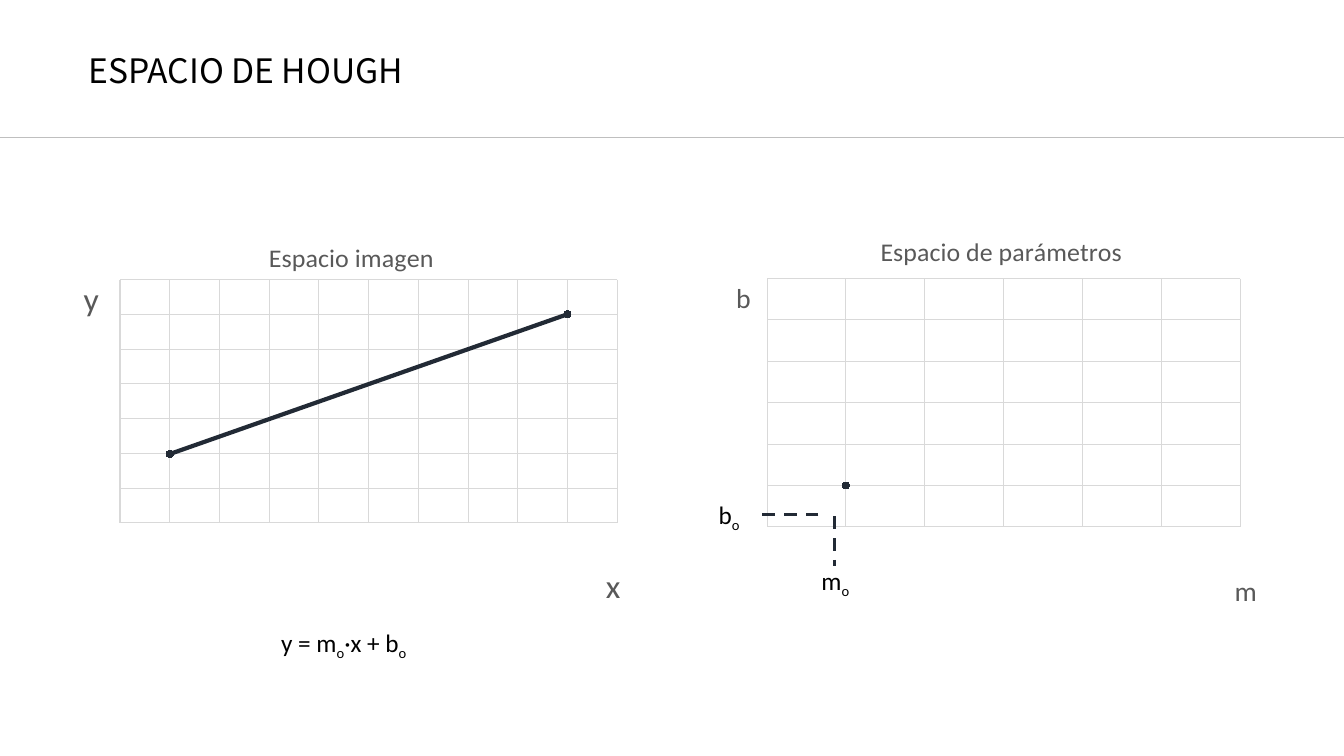
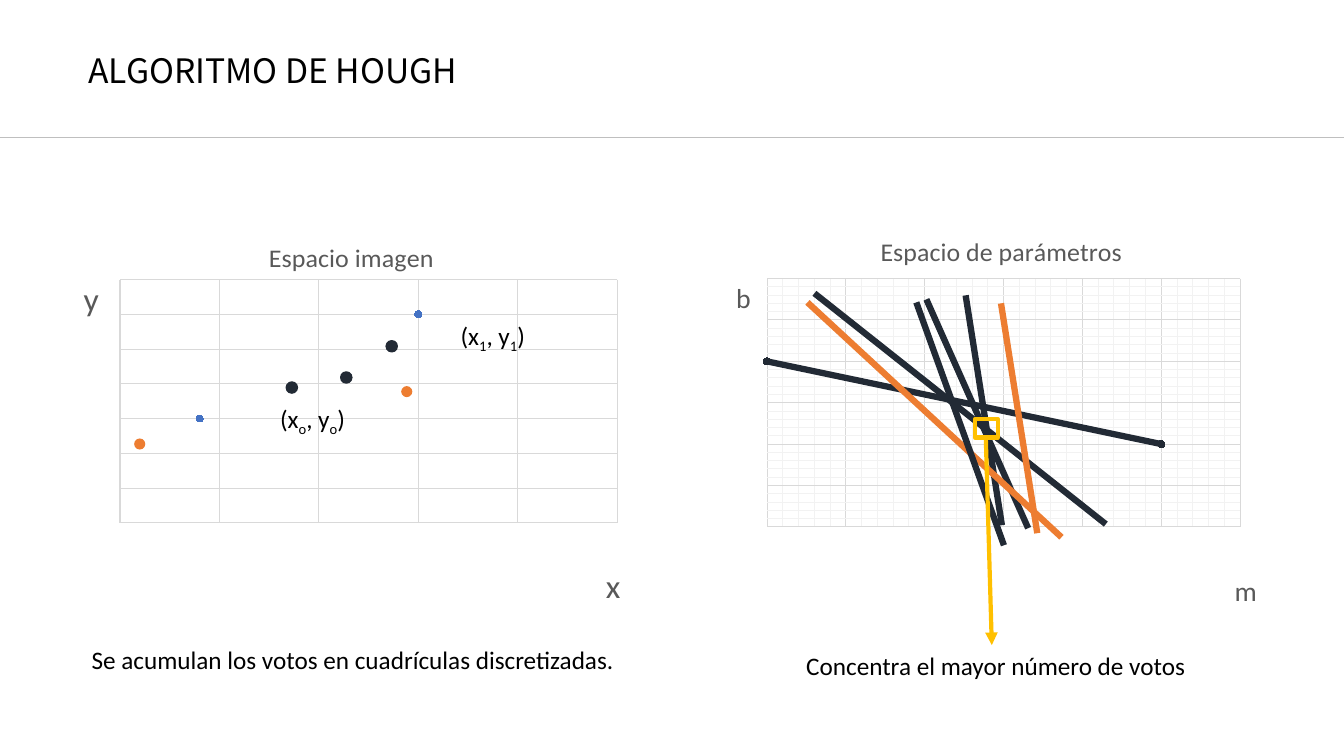
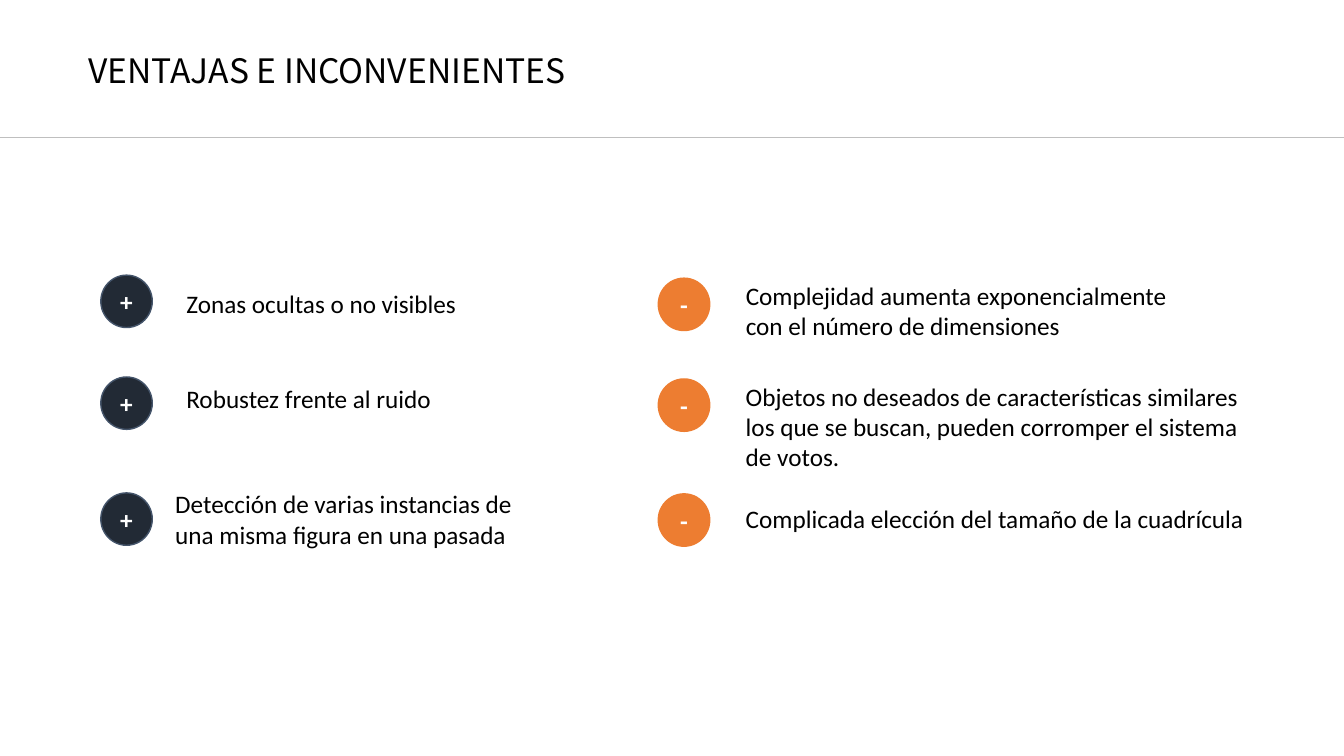
from copy import deepcopy

from lxml.etree import SubElement
from pptx import Presentation
from pptx.chart.data import XyChartData
from pptx.dml.color import RGBColor
from pptx.enum.chart import XL_CHART_TYPE, XL_MARKER_STYLE
from pptx.enum.dml import MSO_LINE
from pptx.enum.shapes import MSO_CONNECTOR, MSO_SHAPE
from pptx.enum.text import MSO_ANCHOR, PP_ALIGN
from pptx.oxml.ns import qn
from pptx.util import Emu, Inches, Pt

WIDTH, HEIGHT = Inches(13.333), Inches(7.5)
BODY_FONT, TITLE_FONT = "Calibri", "Noto Sans CJK SC"
BLACK = RGBColor(0x00, 0x00, 0x00)
WHITE = RGBColor(0xFF, 0xFF, 0xFF)
NAVY = RGBColor(0x22, 0x2A, 0x35)
SLATE = RGBColor(0x44, 0x54, 0x6A)
BLUE = RGBColor(0x44, 0x72, 0xC4)
ORANGE = RGBColor(0xED, 0x7D, 0x31)
GOLD = RGBColor(0xFF, 0xC0, 0x00)
LABEL_GREY = RGBColor(0x59, 0x59, 0x59)
RULE_GREY = RGBColor(0xBF, 0xBF, 0xBF)
GRID_GREY = RGBColor(0xD9, 0xD9, 0xD9)
MINOR_GREY = RGBColor(0xF2, 0xF2, 0xF2)

# All places are percentages of the slide: left, top, width, height
LINE_H = 5.33
IMAGE_SPACE = dict(
    frame=(4.73, 28.8, 42.08, 52.93), plot=(8.93, 37.2, 37, 33.07),
    title=("Espacio imagen", 19.65, 31.2), label_size=24,
    x_label=("x", 44.63, 75.07), y_label=("y", 5.78, 36))
PARAMETER_SPACE = dict(
    frame=(53.18, 28.8, 40.73, 52.8), plot=(57.1, 37.05, 35.43, 33.6),
    title=("Espacio de parámetros", 65.25, 30.4), label_size=20,
    x_label=("m", 91.73, 76), y_label=("b", 54.4, 36.4))
IMAGE_ROWS = (0, 700 / 6, 100 / 6)


def across(share):
    return Emu(round(WIDTH * share / 100))


def down(share):
    return Emu(round(HEIGHT * share / 100))


def place(box):
    left, top, width, height = box
    return across(left), down(top), across(width), down(height)


def style_font(font, size, color, name=BODY_FONT, bold=False):
    font.size, font.name, font.bold = Pt(size), name, bold
    font.color.rgb = color


def write(frame, text, size=18, color=BLACK, name=BODY_FONT, bold=False,
          align=PP_ALIGN.LEFT, anchor=MSO_ANCHOR.TOP, wrap=True, spacing=None):
    """Write text; a character after an underscore becomes a subscript."""
    frame.word_wrap, frame.vertical_anchor = wrap, anchor
    for number, line in enumerate(text.split("\n")):
        paragraph = frame.add_paragraph() if number else frame.paragraphs[0]
        paragraph.alignment, paragraph.line_spacing = align, spacing
        first, *others = line.split("_")
        pieces = [(first, False)]
        for part in others:
            pieces += [(part[0], True), (part[1:], False)]
        for piece, lowered in pieces:
            if piece:
                run = paragraph.add_run()
                run.text = piece
                style_font(run.font, size, color, name, bold)
                if lowered:
                    run._r.get_or_add_rPr().set("baseline", "-25000")


def add_text(slide, text, box, **text_format):
    write(slide.shapes.add_textbox(*place(box)).text_frame, text, **text_format)


def add_line(slide, start_x, start_y, end_x, end_y, color, width,
             dash=None, arrow=False):
    line = slide.shapes.add_connector(
        MSO_CONNECTOR.STRAIGHT, across(start_x), down(start_y),
        across(end_x), down(end_y))
    line.line.color.rgb, line.line.width = color, Pt(width)
    if dash:
        line.line.dash_style = dash
    if arrow:
        SubElement(line.line._get_or_add_ln(), qn("a:tailEnd"), type="triangle")
    SubElement(line._element.spPr, qn("a:effectLst"))


def add_figure(slide, preset, box, fill=None, outline=None, width=1):
    figure = slide.shapes.add_shape(preset, *place(box))
    figure.shadow.inherit = False
    if fill is None:
        figure.fill.background()
    else:
        figure.fill.solid()
        figure.fill.fore_color.rgb = fill
    if outline is None:
        figure.line.fill.background()
    else:
        figure.line.color.rgb, figure.line.width = outline, Pt(width)
    return figure


# Charts
def set_layout(parent, index, frame, left, top, size=None):
    """Fix a chart part at a slide position inside the chart's frame."""
    old = parent.find(qn("c:layout"))
    if old is not None:
        parent.remove(old)
    layout = parent.makeelement(qn("c:layout"))
    parent.insert(index, layout)
    manual = SubElement(layout, qn("c:manualLayout"))
    values = [("xMode", "edge"), ("yMode", "edge"),
              ("x", (left - frame[0]) / frame[2]),
              ("y", (top - frame[1]) / frame[3])]
    if size:
        values = [("layoutTarget", "inner"), *values,
                  ("w", size[0] / frame[2]), ("h", size[1] / frame[3])]
    for tag, value in values:
        SubElement(manual, qn(f"c:{tag}"), val=str(value))


def label_chart(title, label, frame, size):
    text, left, top = label
    write(title.text_frame, text, size=size, color=LABEL_GREY, align=None)
    title.text_frame._txBody.bodyPr.set("rot", "0")
    set_layout(title.element, 1, frame, left, top)


def set_axis(axis, scale, minor_parts):
    axis.minimum_scale, axis.maximum_scale, axis.major_unit = scale
    axis.has_major_gridlines = True
    grid_line = axis.major_gridlines.format.line
    grid_line.width = Pt(0.75)
    if minor_parts:
        axis.has_minor_gridlines = True
        axis.minor_unit = scale[2] / minor_parts
        # The minor grid takes the major grid's line in a paler grey
        grid_line.color.rgb = MINOR_GREY
        major = axis._element.find(qn("c:majorGridlines"))
        minor = axis._element.find(qn("c:minorGridlines"))
        minor.append(deepcopy(major.find(qn("c:spPr"))))
    grid_line.color.rgb = GRID_GREY
    axis.visible = False


def add_space(slide, space, points, columns, rows, color=NAVY, width=None,
              minor_parts=0):
    data = XyChartData()
    votes = data.add_series("Series 1")
    for point in points:
        votes.add_data_point(*point)
    kind = XL_CHART_TYPE.XY_SCATTER_SMOOTH if width else XL_CHART_TYPE.XY_SCATTER
    frame = space["frame"]
    chart = slide.shapes.add_chart(kind, *place(frame), data).chart
    style_font(chart.font, 10, BLACK)
    chart.has_legend = False
    chart.plots[0].vary_by_categories = False

    set_axis(chart.category_axis, columns, minor_parts)
    set_axis(chart.value_axis, rows, minor_parts)
    label_chart(chart.chart_title, space["title"], frame, 18.6)
    label_chart(chart.category_axis.axis_title, space["x_label"], frame,
                space["label_size"])
    label_chart(chart.value_axis.axis_title, space["y_label"], frame,
                space["label_size"])
    left, top, *size = space["plot"]
    set_layout(chart.element.find(f".//{qn('c:plotArea')}"), 0, frame,
               left, top, size)

    series = chart.plots[0].series[0]
    if width:
        series.format.line.color.rgb = color
        series.format.line.width = Pt(width)
    else:
        series.format.line.fill.background()
    series.marker.style, series.marker.size = XL_MARKER_STYLE.CIRCLE, 5
    series.marker.format.fill.solid()
    series.marker.format.fill.fore_color.rgb = color
    series.marker.format.line.color.rgb = color


# Slides
def add_titled_slide(deck, title):
    slide = deck.slides.add_slide(deck.slide_layouts[6])
    add_text(slide, title, (5.85, 0, 86.25, 19.33), size=24, name=TITLE_FONT,
             anchor=MSO_ANCHOR.MIDDLE, spacing=0.9)
    add_line(slide, 0, 18.13, 100, 18.13, RULE_GREY, 0.5)
    return slide


def add_hough_space(deck):
    slide = add_titled_slide(deck, "ESPACIO DE HOUGH")
    add_space(slide, IMAGE_SPACE, [(1, 33), (2.6, 100)],
              (0.8, 2.8, 0.2), IMAGE_ROWS, width=3)
    add_space(slide, PARAMETER_SPACE, [(0.5, 100)],
              (0, 3, 0.5), (0, 600, 100), width=4.5)
    add_text(slide, "y = m_o·x + b_o", (20.18, 82.27, 11.18, LINE_H), wrap=False)
    # Coordinates of the point
    for ends in ((62.1, 68.27, 62.1, 74.93), (60.9, 68, 56.03, 68)):
        add_line(slide, *ends, NAVY, 2.25, dash=MSO_LINE.DASH)
    add_text(slide, "m_o", (60.38, 74.13, 4.88, LINE_H))
    add_text(slide, "b_o", (52.73, 65.33, 4.88, LINE_H))


def add_hough_algorithm(deck):
    slide = add_titled_slide(deck, "ALGORITMO DE HOUGH")
    add_space(slide, IMAGE_SPACE, [(2, 100), (0.9, 50)],
              (0.5, 3, 0.5), IMAGE_ROWS, color=BLUE)
    add_space(slide, PARAMETER_SPACE, [(0, 100), (2.5, 50)],
              (0, 3, 0.5), (0, 150, 25), width=4.5, minor_parts=5)
    add_text(slide, "(x_o, y_o)", (20.1, 52.67, 8.55, LINE_H))
    add_text(slide, "(x_1, y_1)", (33.53, 41.73, 8.55, LINE_H))
    # Image points
    for left, top, color, outline in (
            (25.35, 49.2, NAVY, NAVY), (21.3, 50.53, NAVY, NAVY),
            (28.73, 45.07, NAVY, NAVY), (29.85, 51.07, ORANGE, None),
            (9.98, 58, ORANGE, None)):
        add_figure(slide, MSO_SHAPE.OVAL, (left, top, 0.83, 1.47), color, outline)
    # Lines that vote in the parameter space
    for *ends, color in (
            (60.6, 38.8, 82.28, 69.33, NAVY),
            (68.93, 39.6, 76.5, 69.87, NAVY),
            (74.55, 69.47, 71.85, 39.07, NAVY),
            (77.18, 70.53, 74.48, 40.13, ORANGE),
            (78.98, 71.07, 60.08, 40, ORANGE),
            (74.7, 72.13, 68.18, 40, NAVY)):
        add_line(slide, *ends, color, 4.5)
    # Winning cell and captions
    add_text(slide, "Concentra el mayor número de votos",
             (59.25, 85.33, 35.85, LINE_H))
    add_text(slide, "Se acumulan los votos en cuadrículas discretizadas.",
             (6.08, 84.53, 40.88, LINE_H), wrap=False)
    add_line(slide, 73.35, 57.87, 73.8, 85.33, GOLD, 3, arrow=True)
    add_figure(slide, MSO_SHAPE.RECTANGLE, (72.53, 55.47, 1.73, 2.4),
               outline=GOLD, width=3)


def add_points(slide, sign, left, fill, outline, points):
    for badge_top, text, box, wrap in points:
        badge = add_figure(slide, MSO_SHAPE.OVAL, (left, badge_top, 3.83, 6.93),
                           fill, outline)
        write(badge.text_frame, sign, color=WHITE, bold=True,
              align=PP_ALIGN.CENTER, anchor=MSO_ANCHOR.MIDDLE)
        add_text(slide, text, box, wrap=wrap)


def add_pros_and_cons(deck):
    slide = add_titled_slide(deck, "VENTAJAS E INCONVENIENTES")
    add_points(slide, "+", 7.5, NAVY, SLATE, (
        (36.4, "Zonas ocultas o no visibles",
         (13.13, 37.47, 21.83, LINE_H), False),
        (49.87, "Robustez frente al ruido", (13.13, 50, 19.95, LINE_H), False),
        (65.2, "Detección de varias instancias de una misma figura en una pasada",
         (12.3, 64, 28.65, 9.47), True)))
    add_points(slide, "-", 48.98, ORANGE, ORANGE, (
        (36.8, "Complejidad aumenta exponencialmente\n"
         "con el número de dimensiones", (54.75, 36.4, 33.15, 9.47), False),
        (50.13, "Objetos no deseados de características similares\n"
         "los que se buscan, pueden corromper el sistema\nde votos.",
         (54.75, 49.73, 39.15, 13.47), False),
        (65.33, "Complicada elección del tamaño de la cuadrícula",
         (54.75, 65.87, 39, LINE_H), False)))


def main():
    deck = Presentation()
    deck.slide_width, deck.slide_height = WIDTH, HEIGHT
    add_hough_space(deck)
    add_hough_algorithm(deck)
    add_pros_and_cons(deck)
    deck.save("out.pptx")


if __name__ == "__main__":
    main()
